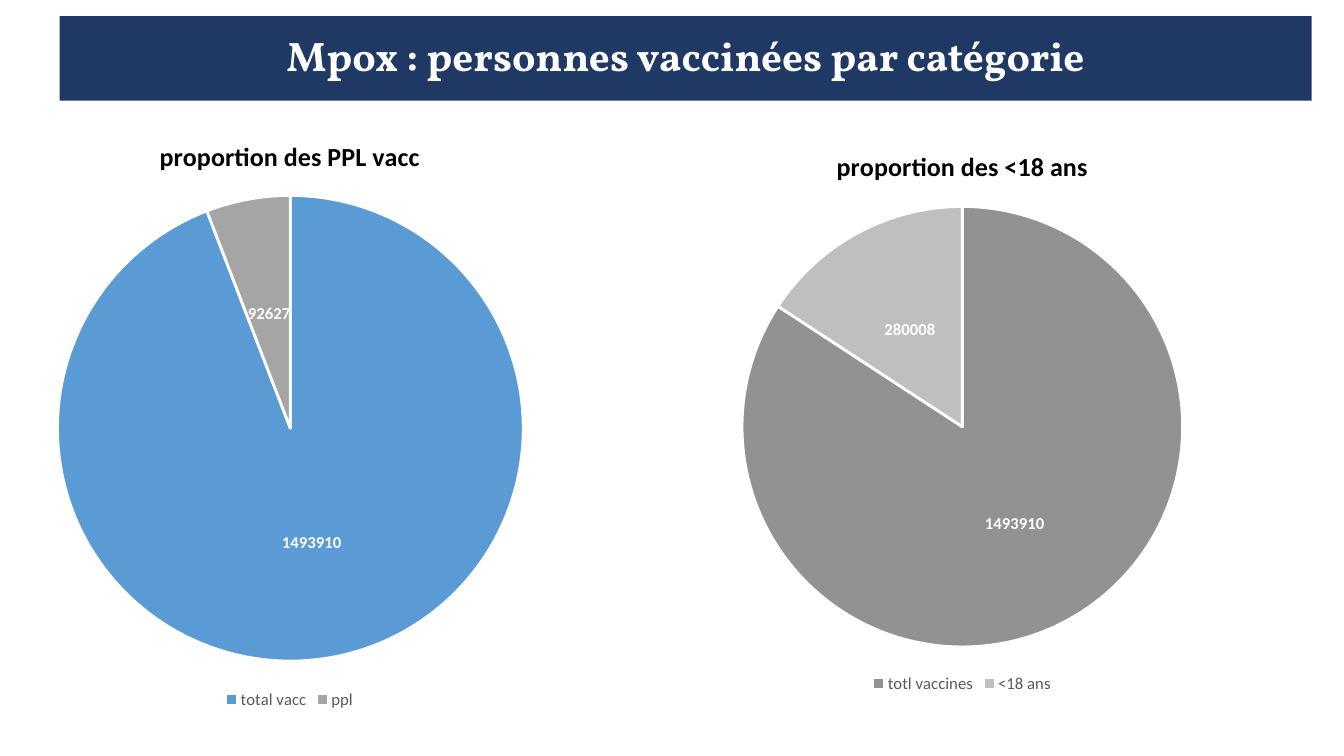
from lxml.etree import SubElement
from pptx import Presentation
from pptx.chart.data import CategoryChartData
from pptx.dml.color import RGBColor
from pptx.enum.chart import XL_CHART_TYPE, XL_LABEL_POSITION, XL_LEGEND_POSITION
from pptx.enum.shapes import MSO_SHAPE
from pptx.enum.text import MSO_ANCHOR, PP_ALIGN
from pptx.oxml.ns import qn
from pptx.util import Inches, Pt

COLORS = {
    "navy": "203864",
    "white": "FFFFFF",
    "black": "000000",
    "legend": "595959",
    "blue": "5B9BD5",
    "gray": "A5A5A5",
    "dark_gray": "929292",
    "light_gray": "BFBFBF",
}


def rgb(name):
    return RGBColor.from_string(COLORS[name])


def set_font(font, name, size, color, bold=False):
    font.name = name
    font.size = Pt(size)
    font.bold = bold
    font.color.rgb = rgb(color)


def add_banner(slide, box, text):
    shape = slide.shapes.add_shape(MSO_SHAPE.RECTANGLE, *map(Inches, box))
    shape.shadow.inherit = False
    shape.fill.solid()
    shape.fill.fore_color.rgb = rgb("navy")
    shape.line.fill.background()
    text_frame = shape.text_frame
    text_frame.text = text
    text_frame.word_wrap = True
    text_frame.vertical_anchor = MSO_ANCHOR.MIDDLE
    paragraph = text_frame.paragraphs[0]
    paragraph.alignment = PP_ALIGN.CENTER
    paragraph.line_spacing = 0.9
    set_font(paragraph.runs[0].font, "Vollkorn", 29.4, "white", True)


def place_pie(chart, box, pie_offset, diameter):
    """Fix the pie inside the chart box, as fractions of its size."""
    plot_area = chart._chartSpace.chart.plotArea
    for old_layout in plot_area.findall(qn("c:layout")):
        plot_area.remove(old_layout)
    layout = SubElement(plot_area, qn("c:layout"))
    plot_area.insert(0, layout)
    manual = SubElement(layout, qn("c:manualLayout"))
    width, height = box[2:]
    settings = {
        "layoutTarget": "inner",
        "xMode": "edge",
        "yMode": "edge",
        "x": pie_offset[0] / width,
        "y": pie_offset[1] / height,
        "w": diameter / width,
        "h": diameter / height,
    }
    for tag, value in settings.items():
        SubElement(manual, qn(f"c:{tag}")).set("val", str(value))


def add_pie(slide, box, title, values, slice_colors, pie_offset, diameter):
    data = CategoryChartData()
    data.categories = list(values)
    data.add_series(title, list(values.values()))
    chart = slide.shapes.add_chart(
        XL_CHART_TYPE.PIE, *map(Inches, box), data).chart
    set_font(chart.font, "Calibri", 10, "black")

    # Title and legend
    chart.has_title = True
    title_frame = chart.chart_title.text_frame
    title_frame.text = title
    set_font(title_frame.paragraphs[0].runs[0].font,
             "Calibri", 18.6, "black", True)
    chart.chart_title.include_in_layout = False
    chart.has_legend = True
    chart.legend.position = XL_LEGEND_POSITION.BOTTOM
    chart.legend.include_in_layout = False
    set_font(chart.legend.font, "Calibri", 11.9, "legend")

    # Slices
    plot = chart.plots[0]
    plot.vary_by_categories = True
    for index, color in enumerate(slice_colors):
        slice_format = plot.series[0].points[index].format
        slice_format.fill.solid()
        slice_format.fill.fore_color.rgb = rgb(color)
        slice_format.line.color.rgb = rgb("white")
        slice_format.line.width = Pt(2)

    # Value labels
    plot.has_data_labels = True
    labels = plot.data_labels
    labels.show_value = True
    labels.show_percentage = False
    labels.position = XL_LABEL_POSITION.CENTER
    set_font(labels.font, "Calibri", 11.9, "white", True)
    place_pie(chart, box, pie_offset, diameter)


def main():
    presentation = Presentation()
    presentation.slide_width = Inches(13.33)
    presentation.slide_height = Inches(7.5)
    slide = presentation.slides.add_slide(presentation.slide_layouts[6])

    add_banner(slide, (0.59, 0.16, 12.42, 0.84),
               "Mpox : personnes vaccinées par catégorie")
    add_pie(slide, (-0.06, 1.15, 5.87, 5.93), "proportion des PPL vacc",
            {"total vacc": 1493910, "ppl": 92627},
            ("blue", "gray"), (0.63, 0.79), 4.62)
    add_pie(slide, (6.17, 1.26, 6.75, 5.66), "proportion des <18 ans",
            {"totl vaccines": 1493910, "<18 ans": 280008},
            ("dark_gray", "light_gray"), (1.19, 0.79), 4.37)

    presentation.save("out.pptx")


if __name__ == "__main__":
    main()
